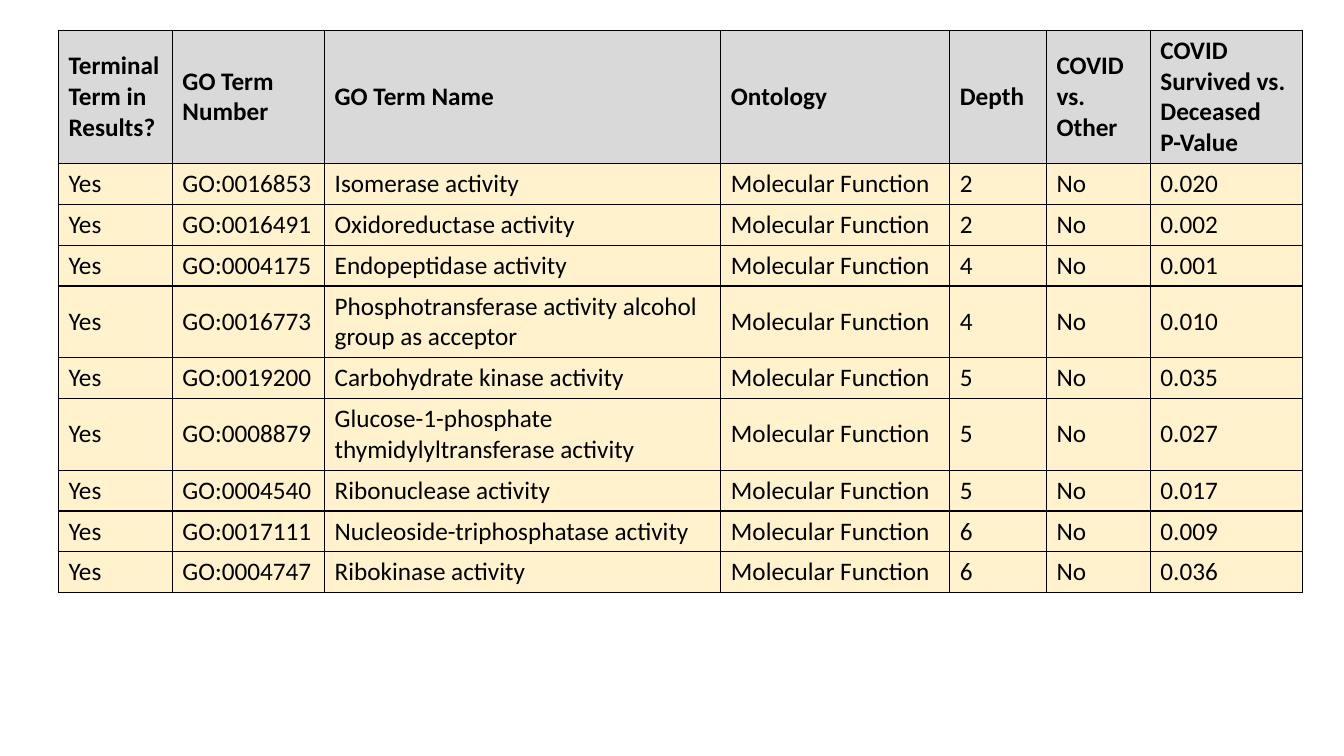
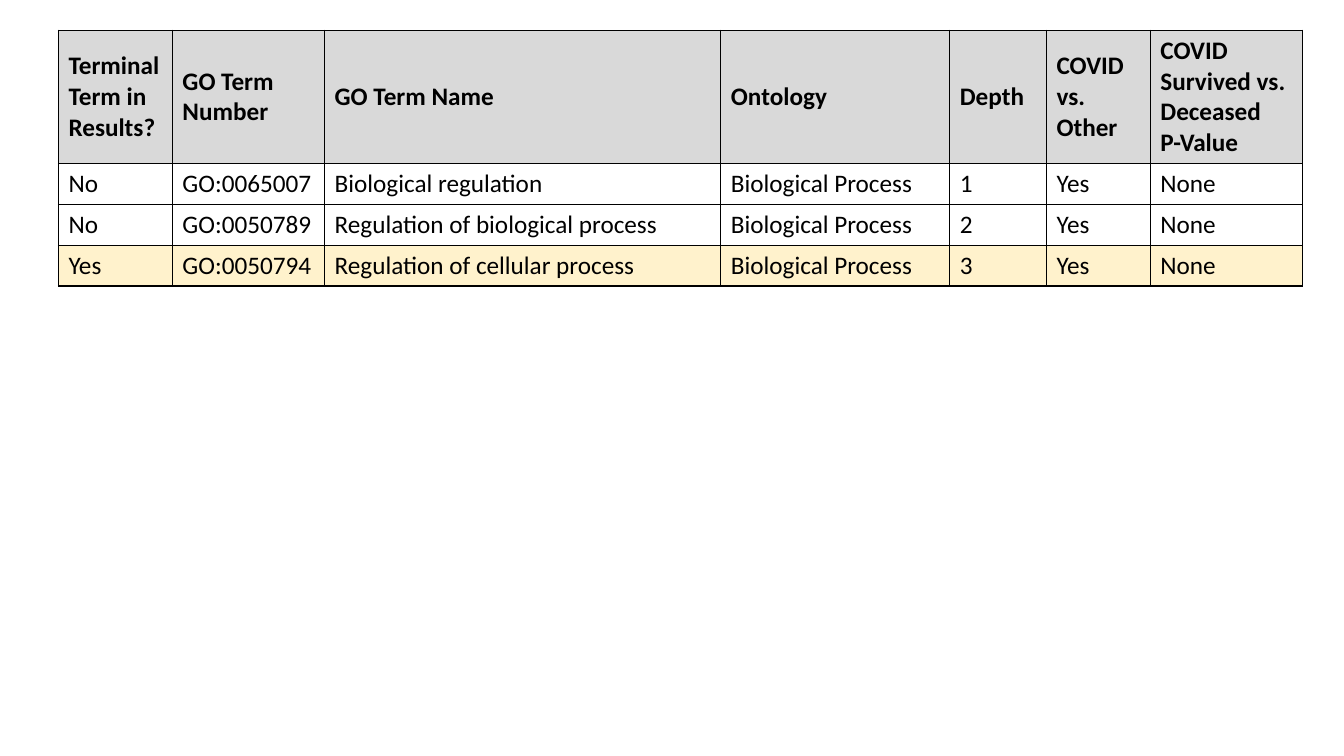
from lxml import etree
from pptx import Presentation
from pptx import util as u
from pptx.dml.color import RGBColor
from pptx.enum import text
from pptx.oxml import ns

# Shared look
FONT, SIZE = "Calibri", 18
BLACK, GREY, CREAM = "000000", "D9D9D9", "FFF2CC"
LEFT, TOP = 0.58, 0.3
COLUMN_WIDTHS = [1.13, 1.51, 3.93, 2.27, 0.96, 1.03, 1.51]
HEADER_HEIGHT, LINE_HEIGHT, CELL_PADDING = 1.32, 0.3, 0.1
NAME_LINE_LENGTH = 38  # characters that fit on one line of the name column

HEADER = ["Terminal Term in Results?", "GO Term Number", "GO Term Name", "Ontology",
          "Depth", "COVID vs. Other", "COVID Survived vs. Deceased\nP-Value"]

# Each slide: ontology, COVID vs. other, then (terminal, number, name, depth, p-value)
SLIDES = [
    ("Molecular Function", "No", [
        ("Yes", "GO:0016853", "Isomerase activity", "2", "0.020"),
        ("Yes", "GO:0016491", "Oxidoreductase activity", "2", "0.002"),
        ("Yes", "GO:0004175", "Endopeptidase activity", "4", "0.001"),
        ("Yes", "GO:0016773", "Phosphotransferase activity alcohol group as acceptor",
         "4", "0.010"),
        ("Yes", "GO:0019200", "Carbohydrate kinase activity", "5", "0.035"),
        ("Yes", "GO:0008879", "Glucose-1-phosphate thymidylyltransferase activity",
         "5", "0.027"),
        ("Yes", "GO:0004540", "Ribonuclease activity", "5", "0.017"),
        ("Yes", "GO:0017111", "Nucleoside-triphosphatase activity", "6", "0.009"),
        ("Yes", "GO:0004747", "Ribokinase activity", "6", "0.036"),
    ]),
    ("Biological Process", "Yes", [
        ("No", "GO:0065007", "Biological regulation", "1", "None"),
        ("No", "GO:0050789", "Regulation of biological process", "2", "None"),
        ("Yes", "GO:0050794", "Regulation of cellular process", "3", "None"),
    ]),
]


def color(value):
    return RGBColor.from_string(value)


def add_borders(cell):
    properties = cell._tc.get_or_add_tcPr()
    for side in ("lnL", "lnR", "lnT", "lnB"):
        line = etree.SubElement(properties, ns.qn(f"a:{side}"), w=str(u.Pt(1)))
        fill = etree.SubElement(line, ns.qn("a:solidFill"))
        etree.SubElement(fill, ns.qn("a:srgbClr"), val=BLACK)


def fill_cell(cell, content, background, bold):
    add_borders(cell)
    if background:
        cell.fill.solid()
        cell.fill.fore_color.rgb = color(background)
    else:
        cell.fill.background()
    cell.vertical_anchor = text.MSO_ANCHOR.MIDDLE
    cell.text = content
    for paragraph in cell.text_frame.paragraphs:
        font = paragraph.font
        font.name, font.size, font.bold = FONT, u.Pt(SIZE), bold
        font.color.rgb = color(BLACK)


def row_height(name):
    lines = 2 if len(name) > NAME_LINE_LENGTH else 1
    return lines * LINE_HEIGHT + CELL_PADDING


def add_term_table(page, ontology, versus_other, terms):
    rows, heights = [HEADER], [HEADER_HEIGHT]
    for terminal, number, name, depth, p_value in terms:
        rows.append([terminal, number, name, ontology, depth, versus_other, p_value])
        heights.append(row_height(name))

    table = page.shapes.add_table(
        len(rows), len(HEADER), u.Inches(LEFT), u.Inches(TOP),
        u.Inches(sum(COLUMN_WIDTHS)), u.Inches(sum(heights))).table
    table.horz_banding = False
    for column, width in zip(table.columns, COLUMN_WIDTHS):
        column.width = u.Inches(width)

    for index, (row, values) in enumerate(zip(table.rows, rows)):
        row.height = u.Inches(heights[index])
        is_header = index == 0
        # Terminal terms are highlighted
        background = GREY if is_header else CREAM if values[0] == "Yes" else None
        for cell, value in zip(row.cells, values):
            fill_cell(cell, value, background, is_header)


def main():
    deck = Presentation()
    deck.slide_width, deck.slide_height = u.Inches(13.33), u.Inches(7.5)
    for ontology, versus_other, terms in SLIDES:
        page = deck.slides.add_slide(deck.slide_layouts[6])
        add_term_table(page, ontology, versus_other, terms)
    deck.save("out.pptx")


if __name__ == "__main__":
    main()
